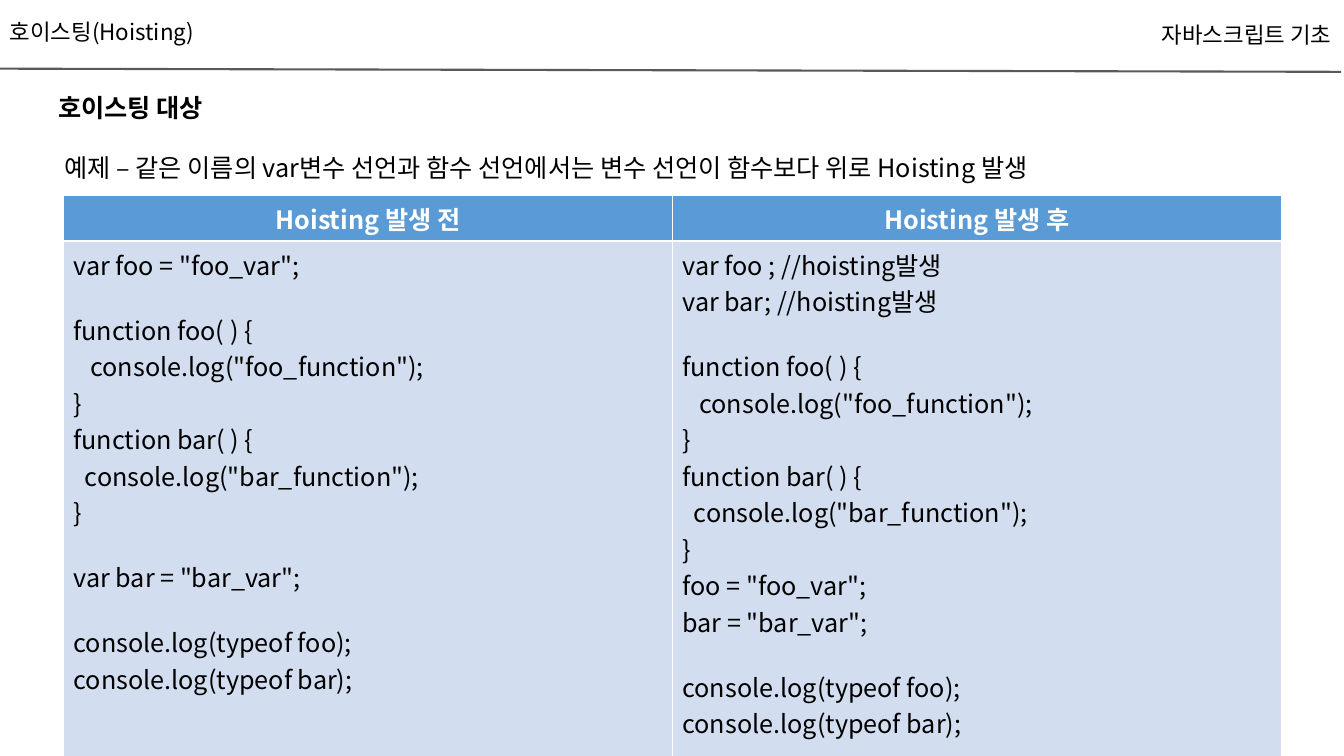
from lxml import etree
from pptx import Presentation
from pptx.dml.color import RGBColor
from pptx.enum.shapes import MSO_CONNECTOR, MSO_SHAPE
from pptx.enum.text import MSO_ANCHOR, PP_ALIGN
from pptx.oxml.ns import qn
from pptx.util import Cm, Pt

LEFT, CENTER, RIGHT = PP_ALIGN.LEFT, PP_ALIGN.CENTER, PP_ALIGN.RIGHT
TOP, MIDDLE = MSO_ANCHOR.TOP, MSO_ANCHOR.MIDDLE
RECTANGLE, STRAIGHT = MSO_SHAPE.RECTANGLE, MSO_CONNECTOR.STRAIGHT

BLACK = RGBColor(0x00, 0x00, 0x00)
WHITE = RGBColor(0xFF, 0xFF, 0xFF)
RULE_GRAY = RGBColor(0x59, 0x59, 0x59)
HEADER_BLUE = RGBColor(0x5B, 0x9B, 0xD5)
BODY_BLUE = RGBColor(0xD2, 0xDE, 0xEF)

FONT = "Noto Sans CJK KR"
CODE_GAP = Pt(20.5)

HEADER_FONT = {"size": Pt(16), "bold": False}
HEADING_FONT = {"size": Pt(18), "bold": True}
BODY_FONT = {"size": Pt(18), "bold": False}

FUNCTIONS = [
    ["function foo( ) {", " \u00a0 console.log(\"foo_function\");", "}",
     "function bar( ) {", "\u00a0 console.log(\"bar_function\");", "}"],
]
TYPE_CHECKS = ["console.log(typeof foo);", "console.log(typeof bar);"]
# Each example is a list of code blocks, set apart by a gap
EXAMPLES = {
    "Hoisting 발생 전": [
        ["var foo = \"foo_var\";"],
        *FUNCTIONS,
        ["var bar = \"bar_var\";"],
        TYPE_CHECKS,
    ],
    "Hoisting 발생 후": [
        ["var foo ; //hoisting발생", "var bar; //hoisting발생"],
        FUNCTIONS[0] + ["foo = \"foo_var\";", "bar = \"bar_var\";"],
        TYPE_CHECKS,
    ],
}


def write_line(frame, text, font, color=BLACK, first=True, **layout):
    paragraph = frame.paragraphs[0] if first else frame.add_paragraph()
    for name, value in layout.items():
        setattr(paragraph, name, value)
    run = paragraph.add_run()
    run.text = text
    for name, value in font.items():
        setattr(run.font, name, value)
    run.font.color.rgb = color
    run.font.name = FONT
    east_asian = etree.SubElement(run.font._element, qn("a:ea"))
    east_asian.set("typeface", FONT)
    return paragraph


def add_header_label(slide, box, text, alignment):
    frame = slide.shapes.add_textbox(*box).text_frame
    frame.word_wrap = True
    frame.vertical_anchor = MIDDLE
    write_line(frame, text, HEADER_FONT, alignment=alignment, line_spacing=0.9)


def add_header(slide, left, top, width, height):
    add_header_label(slide, (left, top, Cm(13.2), height),
                     "호이스팅(Hoisting)", LEFT)
    course_width = Cm(9.63)
    add_header_label(slide, (left + width - course_width, top + Cm(0.08),
                             course_width, height), "자바스크립트 기초", RIGHT)
    # Rule under the header
    rule_top = top + height + Cm(0.03)
    rule = slide.shapes.add_connector(
        STRAIGHT, left, rule_top, left + width, rule_top + Cm(0.08))
    rule.line.color.rgb = RULE_GRAY
    rule.line.width = Pt(1.5)
    etree.SubElement(rule._element.spPr, qn("a:effectLst"))


def add_topic(slide, left, top, width, height):
    topic = slide.shapes.add_shape(RECTANGLE, left, top, width, height)
    topic.shadow.inherit = False
    topic.fill.background()
    topic.line.color.rgb = WHITE
    topic.line.width = Pt(0.75)
    frame = topic.text_frame
    frame.word_wrap = True
    frame.vertical_anchor = TOP
    write_line(frame, "호이스팅 대상", HEADING_FONT,
               alignment=LEFT, line_spacing=1.5)
    example = write_line(
        frame, "예제 – 같은 이름의 var변수 선언과 함수 선언에서는 "
        "변수 선언이 함수보다 위로 Hoisting 발생", BODY_FONT, first=False,
        alignment=LEFT, line_spacing=1.5, space_before=Pt(10))
    example._p.get_or_add_pPr().set("marL", str(Cm(0.16)))


def style_cell(cell, fill, top_line, bottom_line):
    cell.fill.solid()
    cell.fill.fore_color.rgb = fill
    borders = {"lnL": 0.5, "lnR": 0.5, "lnT": top_line, "lnB": bottom_line}
    properties = cell._tc.get_or_add_tcPr()
    for position, (side, points) in enumerate(borders.items()):
        border = etree.Element(qn(f"a:{side}"), w=str(Pt(points)))
        solid = etree.SubElement(border, qn("a:solidFill"))
        etree.SubElement(solid, qn("a:srgbClr"), val=str(WHITE))
        properties.insert(position, border)


def add_comparison(slide, left, top, width, height):
    table = slide.shapes.add_table(
        2, len(EXAMPLES), left, top, width, height).table
    table.horz_banding = False
    header_height = Cm(1.14)
    table.rows[0].height = header_height
    table.rows[1].height = height - header_height
    for column, (title, blocks) in enumerate(EXAMPLES.items()):
        # Column title
        header = table.cell(0, column)
        style_cell(header, HEADER_BLUE, 0.5, 1.5)
        write_line(header.text_frame, title, HEADING_FONT, WHITE,
                   alignment=CENTER)
        # Code
        code = table.cell(1, column)
        style_cell(code, BODY_BLUE, 1.5, 0.5)
        for block_index, block in enumerate(blocks):
            for line_index, line in enumerate(block):
                gap = CODE_GAP if block_index and not line_index else Pt(0)
                write_line(code.text_frame, line, BODY_FONT,
                           first=not block_index and not line_index,
                           space_before=gap)


def main():
    deck = Presentation()
    deck.slide_width, deck.slide_height = Cm(33.88), Cm(19.05)
    slide = deck.slides.add_slide(deck.slide_layouts[6])
    add_topic(slide, Cm(1.22), Cm(1.83), Cm(31.45), Cm(15.24))
    add_header(slide, Cm(0), Cm(-0.03), Cm(33.81), Cm(1.73))
    add_comparison(slide, Cm(1.6), Cm(4.93), Cm(30.7), Cm(14.12))
    deck.save("out.pptx")


if __name__ == "__main__":
    main()
